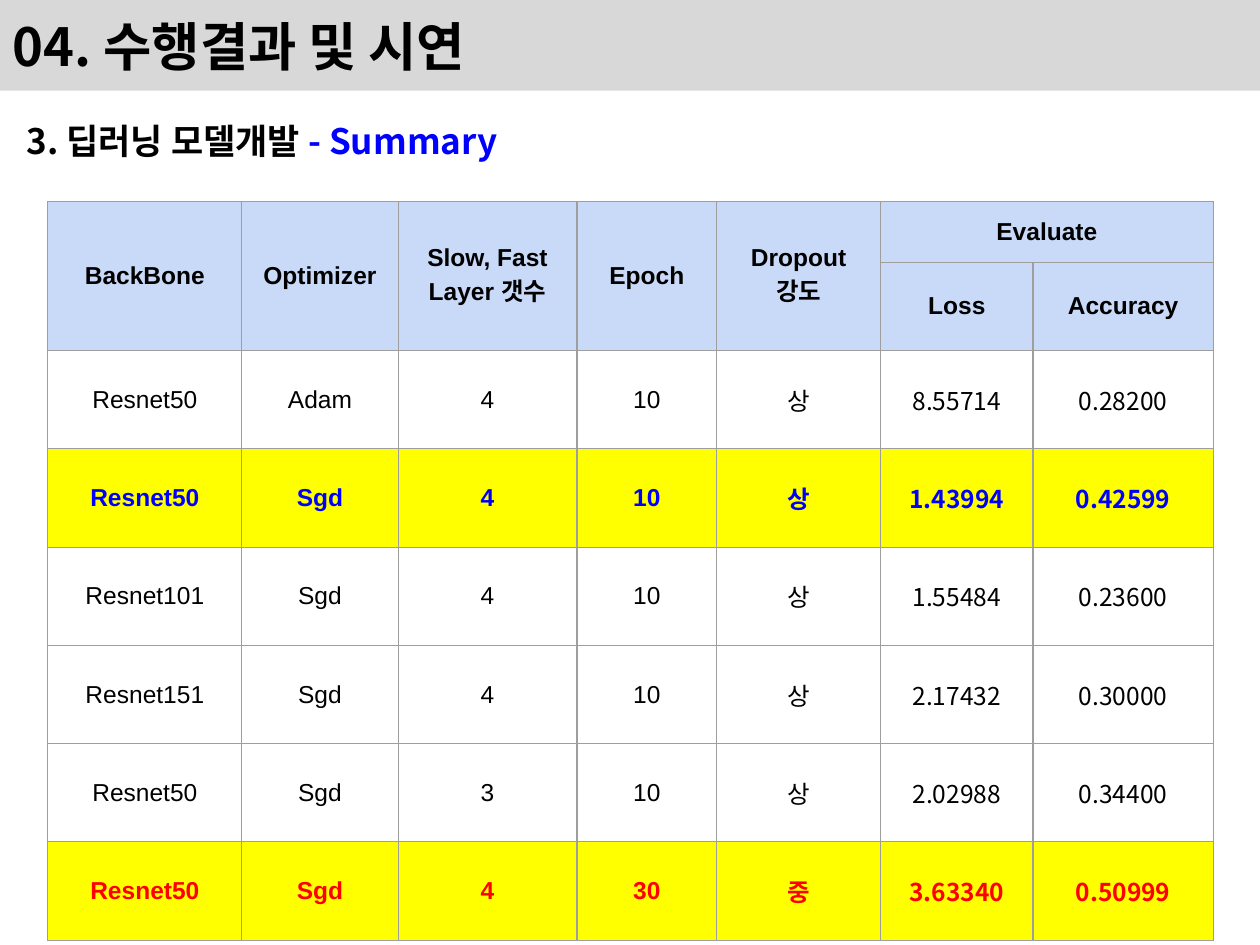
"""Build the slide that summarises the deep learning model results."""
import lxml.etree
import pptx
import pptx.dml.color
import pptx.enum.shapes
import pptx.enum.text
import pptx.oxml
import pptx.oxml.ns
import pptx.util

Inches = pptx.util.Inches
RGBColor = pptx.dml.color.RGBColor
Align = pptx.enum.text.PP_ALIGN
Anchor = pptx.enum.text.MSO_ANCHOR
qn = pptx.oxml.ns.qn

BLACK = RGBColor(0x00, 0x00, 0x00)
BLUE = RGBColor(0x00, 0x00, 0xFF)
RED = RGBColor(0xFF, 0x00, 0x00)
YELLOW = RGBColor(0xFF, 0xFF, 0x00)
PALE_BLUE = RGBColor(0xC9, 0xDA, 0xF8)
BAND_GREY = RGBColor(0xD8, 0xD8, 0xD8)
BORDER_GREY = RGBColor(0x9E, 0x9E, 0x9E)

LATIN = "Arial"
KOREAN = "Noto Sans CJK KR"
COLUMN_WIDTHS = [1.54, 1.24, 1.42, 1.11, 1.3, 1.21, 1.43]
ROW_HEIGHTS = [0.48, 0.66] + [0.78] * 6
FIRST_SCORE_COLUMN = 5
HEADERS = ["BackBone", "Optimizer", "Slow, Fast Layer 갯수", "Epoch", "Dropout\n강도"]
SCORES = ["Loss", "Accuracy"]
RESULTS = [
    ["Resnet50", "Adam", "4", "10", "상", "8.55714", "0.28200"],
    ["Resnet50", "Sgd", "4", "10", "상", "1.43994", "0.42599"],
    ["Resnet101", "Sgd", "4", "10", "상", "1.55484", "0.23600"],
    ["Resnet151", "Sgd", "4", "10", "상", "2.17432", "0.30000"],
    ["Resnet50", "Sgd", "3", "10", "상", "2.02988", "0.34400"],
    ["Resnet50", "Sgd", "4", "30", "중", "3.63340", "0.50999"],
]
HIGHLIGHTS = {1: BLUE, 5: RED}


def style_paragraph(para, size, name, bold, color, align):
    """Set the alignment and the shared font of a paragraph."""
    para.alignment = align
    para.font.size = pptx.util.Pt(size)
    para.font.name = name
    para.font.bold = bold
    para.font.color.rgb = color
    properties = para._p.pPr.find(qn("a:defRPr"))
    lxml.etree.SubElement(properties, qn("a:ea"), typeface=KOREAN)


def place(shape, left, top, width, height):
    """Move and size a placeholder."""
    shape.left, shape.top = Inches(left), Inches(top)
    shape.width, shape.height = Inches(width), Inches(height)


def add_title_band(page):
    """Add the grey band behind the title."""
    band = page.shapes.add_shape(
        pptx.enum.shapes.MSO_SHAPE.RECTANGLE, 0, 0, Inches(10), Inches(0.72))
    band.shadow.inherit = False
    band.fill.solid()
    band.fill.fore_color.rgb = BAND_GREY
    band.line.fill.background()
    page.shapes._spTree.insert(2, band._element)


def fill_title(title):
    """Write the slide title."""
    place(title, 0, 0, 10, 0.72)
    frame = title.text_frame
    frame.text = "04. 수행결과 및 시연"
    frame.auto_size = pptx.enum.text.MSO_AUTO_SIZE.NONE
    frame.vertical_anchor = Anchor.MIDDLE
    style_paragraph(frame.paragraphs[0], 30, KOREAN, True, BLACK, Align.LEFT)


def fill_body(body):
    """Write the section heading with its coloured ending."""
    place(body, 0.11, 0.9, 9.69, 6.56)
    frame = body.text_frame
    frame.auto_size = pptx.enum.text.MSO_AUTO_SIZE.NONE
    frame.vertical_anchor = Anchor.TOP
    para = frame.paragraphs[0]
    para.space_before = pptx.util.Pt(0)
    properties = para._p.get_or_add_pPr()
    properties.set("marL", "0")
    properties.set("indent", "0")
    lxml.etree.SubElement(properties, qn("a:buNone"))
    para.add_run().text = "3. 딥러닝 모델개발"
    span = para.add_run()
    span.text = " - Summary"
    span.font.color.rgb = BLUE
    style_paragraph(para, 20, KOREAN, True, BLACK, Align.JUSTIFY)


def add_borders(cell):
    """Draw the four thin grey borders of a cell."""
    properties = cell._tc.get_or_add_tcPr()
    for side in ("lnL", "lnR", "lnT", "lnB"):
        line = lxml.etree.SubElement(
            properties, qn(f"a:{side}"), w=str(pptx.util.Pt(0.75)))
        fill = lxml.etree.SubElement(line, qn("a:solidFill"))
        lxml.etree.SubElement(fill, qn("a:srgbClr"), val=str(BORDER_GREY))


def fill_cell(cell, text, name, bold, color, background):
    """Write and colour one table cell."""
    cell.text = text
    cell.vertical_anchor = Anchor.MIDDLE
    cell.margin_left = cell.margin_right = Inches(0.1)
    cell.margin_top = cell.margin_bottom = Inches(0.1)
    for para in cell.text_frame.paragraphs:
        style_paragraph(para, 14, name, bold, color, Align.CENTER)
    if background is None:
        cell.fill.background()
    else:
        cell.fill.solid()
        cell.fill.fore_color.rgb = background


def fill_headers(table):
    """Merge and write the two header rows."""
    def header(row, column, text):
        fill_cell(table.cell(row, column), text, LATIN, True, BLACK, PALE_BLUE)

    for column, text in enumerate(HEADERS):
        table.cell(0, column).merge(table.cell(1, column))
        header(0, column, text)
    table.cell(0, FIRST_SCORE_COLUMN).merge(table.cell(0, FIRST_SCORE_COLUMN + 1))
    header(0, FIRST_SCORE_COLUMN, "Evaluate")
    for column, text in enumerate(SCORES, FIRST_SCORE_COLUMN):
        header(1, column, text)


def add_results_table(page):
    """Add the table of training runs and their scores."""
    table = page.shapes.add_table(
        len(ROW_HEIGHTS), len(COLUMN_WIDTHS), Inches(0.38), Inches(1.6),
        Inches(sum(COLUMN_WIDTHS)), Inches(sum(ROW_HEIGHTS))).table
    table.first_row = table.horz_banding = False
    for column, width in zip(table.columns, COLUMN_WIDTHS):
        column.width = Inches(width)
    for row, height in zip(table.rows, ROW_HEIGHTS):
        row.height = Inches(height)
    for cell in table.iter_cells():
        add_borders(cell)
    fill_headers(table)
    for index, values in enumerate(RESULTS):
        marked = index in HIGHLIGHTS
        color = HIGHLIGHTS.get(index, BLACK)
        background = YELLOW if marked else None
        for column, text in enumerate(values):
            name = KOREAN if column >= FIRST_SCORE_COLUMN else LATIN
            fill_cell(table.cell(index + 2, column), text, name, marked, color, background)


def main():
    """Build and save the slide."""
    deck = pptx.Presentation()
    deck.slide_width, deck.slide_height = Inches(10), Inches(7.5)
    page = deck.slides.add_slide(deck.slide_layouts[1])
    add_title_band(page)
    fill_title(page.shapes.title)
    fill_body(page.placeholders[1])
    add_results_table(page)
    deck.save("out.pptx")


if __name__ == "__main__":
    main()
